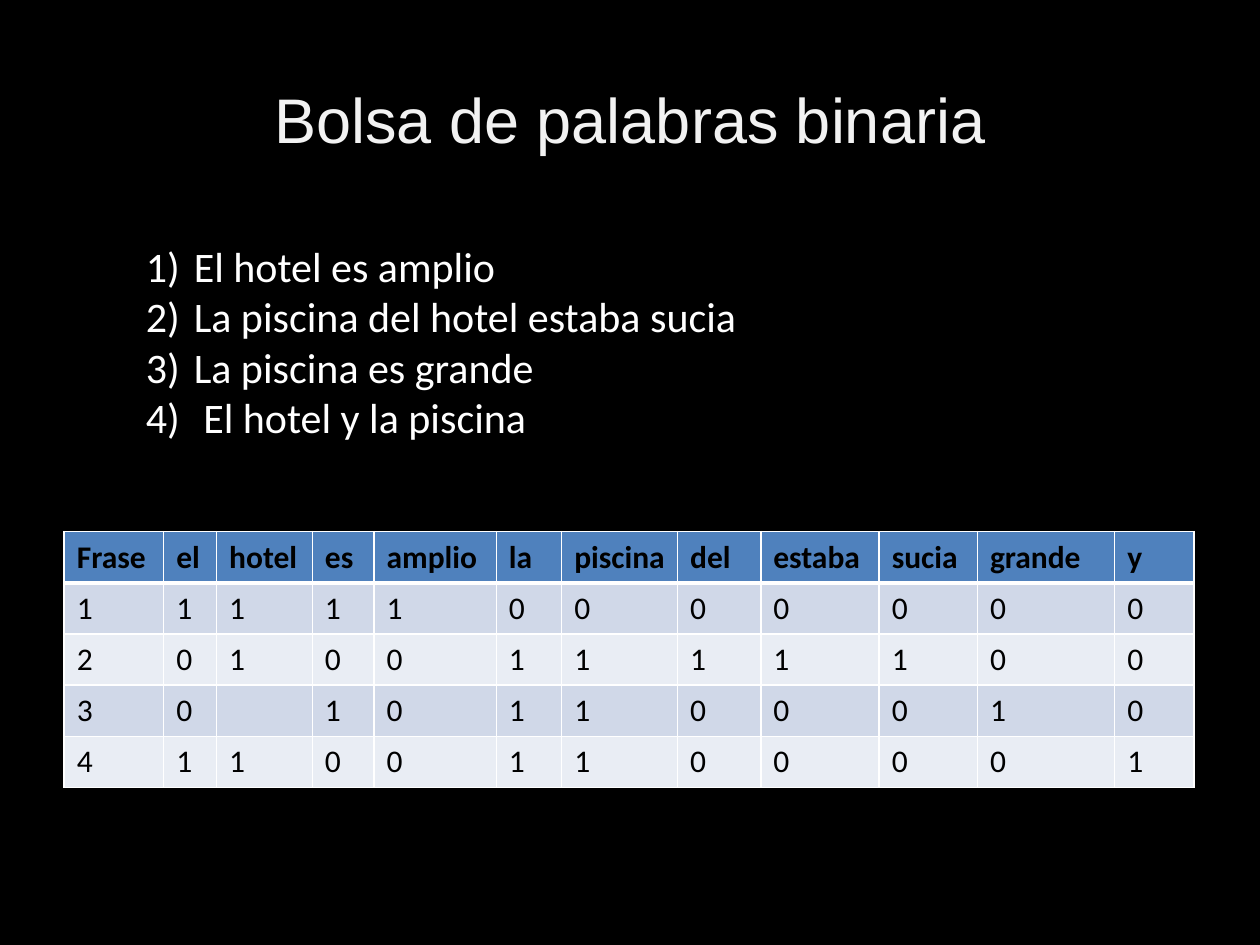
from dataclasses import dataclass

from lxml.etree import SubElement
from pptx import Presentation
from pptx.dml.color import RGBColor
from pptx.enum.text import MSO_AUTO_SIZE, PP_ALIGN
from pptx.oxml.ns import qn
from pptx.util import Inches, Pt

TITLE = "Bolsa de palabras binaria"
SENTENCES = [
    "El hotel es amplio",
    "La piscina del hotel estaba sucia",
    "La piscina es grande",
    " El hotel y la piscina",
]
COLUMNS = [
    ("Frase", 7.9), ("el", 4.2), ("hotel", 7.6), ("es", 4.9),
    ("amplio", 9.7), ("la", 5.2), ("piscina", 9.2), ("del", 6.6),
    ("estaba", 9.4), ("sucia", 7.8), ("grande", 10.9), ("y", 6.3),
]
ROWS = [
    ["1", "1", "1", "1", "1", "0", "0", "0", "0", "0", "0", "0"],
    ["2", "0", "1", "0", "0", "1", "1", "1", "1", "1", "0", "0"],
    ["3", "0", "", "1", "0", "1", "1", "0", "0", "0", "1", "0"],
    ["4", "1", "1", "0", "0", "1", "1", "0", "0", "0", "0", "1"],
]
TITLE_AREA = (0, 7.87, 100, 9.47)
LIST_AREA = (10.6, 24.8, 49.3, 22.93)
TABLE_AREA = (5.1, 56.27, sum(width for _, width in COLUMNS), 27.07)


@dataclass(frozen=True)
class Theme:
    background: str = "000000"
    title: str = "F2F2F2"
    light: str = "FFFFFF"
    dark: str = "000000"
    header: str = "4F81BD"
    bands: tuple = ("D0D8E8", "E9EDF4")
    title_font: str = "Arial"
    body_font: str = "Calibri"
    title_size: int = 36
    list_size: int = 24
    table_size: int = 18
    thin: int = 1
    thick: int = 3


THEME = Theme()


def place(deck, area):
    left, top, width, height = area
    across, down = deck.slide_width / 100, deck.slide_height / 100
    return [int(left * across), int(top * down), int(width * across), int(height * down)]


def add_span(para, text, font, size, color, bold=False):
    span = para.add_run()
    span.text = text
    span.font.name = font
    span.font.size = Pt(size)
    span.font.bold = bold
    span.font.color.rgb = RGBColor.from_string(color)


def add_box(deck, page, area, wrap):
    frame = page.shapes.add_textbox(*place(deck, area)).text_frame
    frame.word_wrap = wrap
    frame.auto_size = MSO_AUTO_SIZE.SHAPE_TO_FIT_TEXT
    return frame


def number_paragraph(para):
    properties = para._p.get_or_add_pPr()
    indent = Inches(0.38)
    properties.set("marL", str(indent))
    properties.set("indent", str(-indent))
    color = SubElement(properties, qn("a:buClr"))
    SubElement(color, qn("a:srgbClr"), val=THEME.light)
    SubElement(properties, qn("a:buFont"), typeface="+mj-lt")
    SubElement(properties, qn("a:buAutoNum"), type="arabicParenR")


def set_borders(cell, top, bottom):
    properties = cell._tc.get_or_add_tcPr()
    widths = {"L": THEME.thin, "R": THEME.thin, "T": top, "B": bottom}
    for side, width in widths.items():
        line = SubElement(properties, qn(f"a:ln{side}"), w=str(Pt(width)))
        fill = SubElement(line, qn("a:solidFill"))
        SubElement(fill, qn("a:srgbClr"), val=THEME.light)


def add_title(deck, page):
    para = add_box(deck, page, TITLE_AREA, True).paragraphs[0]
    para.alignment = PP_ALIGN.CENTER
    add_span(para, TITLE, THEME.title_font, THEME.title_size, THEME.title)


def add_sentences(deck, page):
    frame = add_box(deck, page, LIST_AREA, False)
    for index, sentence in enumerate(SENTENCES):
        para = frame.add_paragraph() if index else frame.paragraphs[0]
        number_paragraph(para)
        add_span(para, sentence, THEME.body_font, THEME.list_size, THEME.light)


def add_word_table(deck, page):
    lines = [[word for word, _ in COLUMNS], *ROWS]
    table = page.shapes.add_table(len(lines), len(COLUMNS), *place(deck, TABLE_AREA)).table
    for column, (_, width) in zip(table.columns, COLUMNS):
        column.width = int(deck.slide_width * width / 100)
    for row, values in enumerate(lines):
        is_header = row == 0
        color = THEME.header if is_header else THEME.bands[(row - 1) % 2]
        top = THEME.thick if row == 1 else THEME.thin
        bottom = THEME.thick if is_header else THEME.thin
        for column, value in enumerate(values):
            cell = table.cell(row, column)
            set_borders(cell, top, bottom)
            cell.fill.solid()
            cell.fill.fore_color.rgb = RGBColor.from_string(color)
            if value:
                add_span(cell.text_frame.paragraphs[0], value, THEME.body_font,
                         THEME.table_size, THEME.dark, is_header)


def main():
    deck = Presentation()
    deck.slide_width, deck.slide_height = Inches(10), Inches(7.5)
    page = deck.slides.add_slide(deck.slide_layouts[6])
    page.background.fill.solid()
    page.background.fill.fore_color.rgb = RGBColor.from_string(THEME.background)
    add_title(deck, page)
    add_sentences(deck, page)
    add_word_table(deck, page)
    deck.save("out.pptx")


if __name__ == "__main__":
    main()
